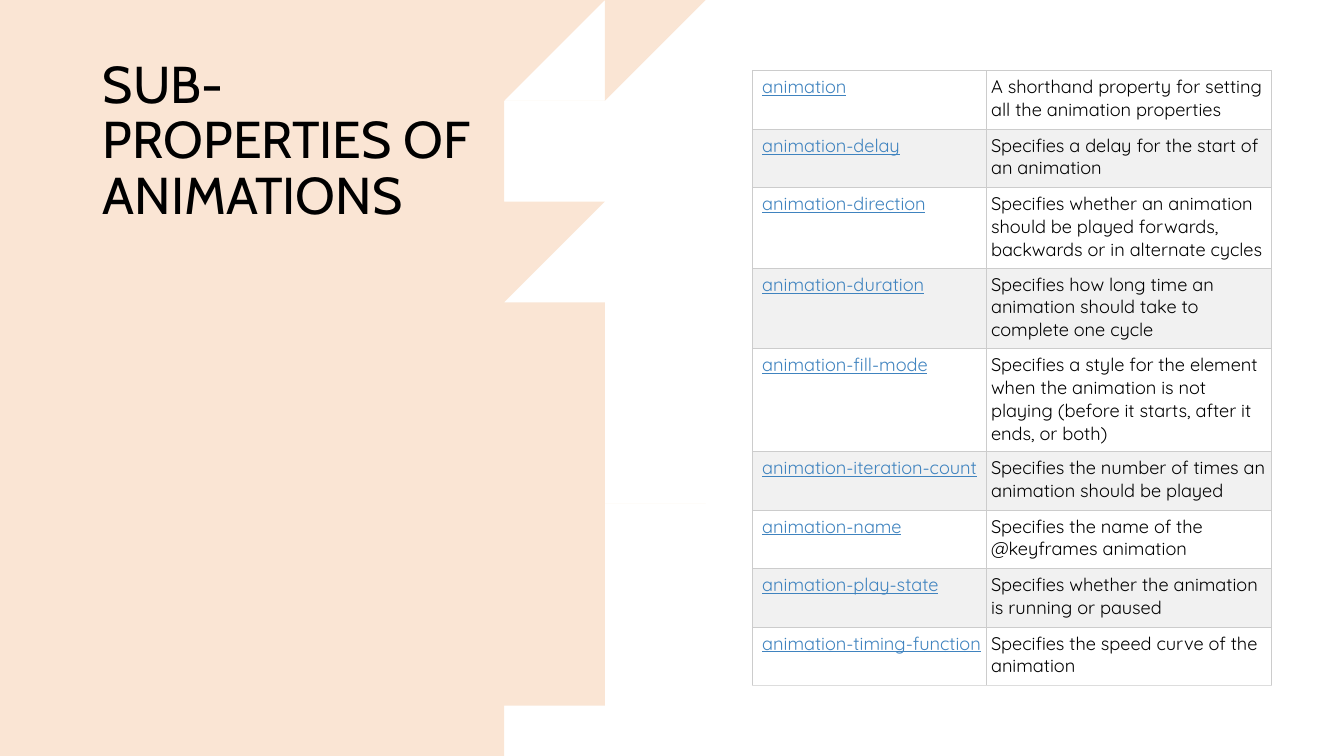
import pptx
import pptx.dml.color
import pptx.enum.text
import pptx.oxml
import pptx.oxml.ns
import pptx.util
from pptx.util import Inches


def rgb(hex_color):
    return pptx.dml.color.RGBColor.from_string(hex_color)


def write(frame, text, *, font, size, color, underline=False, spacing=1.0):
    frame.word_wrap = True
    paragraph = frame.paragraphs[0]
    paragraph.alignment = pptx.enum.text.PP_ALIGN.LEFT
    paragraph.line_spacing = spacing
    run = paragraph.add_run()
    run.text = text
    run.font.name = font
    run.font.size = pptx.util.Pt(size)
    run.font.color.rgb = rgb(color)
    run.font.underline = underline


deck = pptx.Presentation()
deck.slide_width, deck.slide_height = Inches(13.33), Inches(7.5)
slide = deck.slides.add_slide(deck.slide_layouts[5])
slide.background.fill.solid()
slide.background.fill.fore_color.rgb = rgb("FFFFFF")

brush_edge = [
    (0, 0), (0, 7.5), (4.91, 7.5), (5.29, 7.27), (5.37, 7.05), (5.82, 6.72), (5.24, 6.85),
    (5.53, 6.64), (5.8, 6.36), (5.58, 6.38), (5.8, 5.95), (6.26, 5.52), (5.87, 5.7),
    (6.27, 5.31), (6.52, 5.08), (6.17, 5.1), (6.49, 4.84), (6.2, 4.87), (6.16, 4.62),
    (5.98, 4.55), (5.95, 4.05), (6.2, 3.75), (6.15, 3.56), (5.76, 3.67), (6.07, 3.48),
    (6.34, 3.24), (5.97, 3.17), (5.83, 2.82), (5.36, 2.86), (5, 2.78), (5.08, 2.65),
    (5.38, 2.63), (5.56, 2.41), (6.06, 2.08), (5.46, 2.3), (4.85, 2.43), (5.22, 2.29),
    (4.87, 2.31), (4.87, 2.12), (5.16, 1.82), (5, 1.75), (5.42, 1.48), (5.27, 1.34),
    (5.62, 1.08), (5.53, 0.99), (5.78, 0.82), (6.51, 0.5), (6.29, 0.5), (5.95, 0.61),
    (5.43, 0.6), (5.68, 0.48), (5.65, 0.36), (5.49, 0.49), (5.42, 0.38), (5.13, 0.4),
    (5.2, 0.24), (5.48, 0.12), (5.42, 0.06), (5.09, 0.11), (5.38, 0),
]
outline = slide.shapes.build_freeform(*brush_edge[0], scale=Inches(1))
outline.add_line_segments(brush_edge[1:], close=True)
brush = outline.convert_to_shape()
brush.shadow.inherit = False
brush.fill.solid()
brush.fill.fore_color.rgb = rgb("E78129")
brush.line.fill.background()
tint = brush.element.spPr.find(".//" + pptx.oxml.ns.qn("a:srgbClr"))
tint.append(pptx.oxml.parse_xml(f'<a:alpha {pptx.oxml.ns.nsdecls("a")} val="20000"/>'))

heading = slide.shapes.title
heading.left, heading.top = Inches(0.92), Inches(0.7)
heading.width, heading.height = Inches(4.25), Inches(1.97)
heading.text_frame.auto_size = pptx.enum.text.MSO_AUTO_SIZE.NONE
heading.text_frame.vertical_anchor = pptx.enum.text.MSO_ANCHOR.MIDDLE
heading.text_frame.margin_bottom = Inches(0.6)
write(heading.text_frame, "SUB-PROPERTIES OF ANIMATIONS", font="Cabin", size=37, color="000000", spacing=0.9)
heading.element.addprevious(brush.element)

properties = [
    ("animation", "A shorthand property for setting all the animation properties", 2),
    ("animation-delay", "Specifies a delay for the start of an animation", 2),
    ("animation-direction",
     "Specifies whether an animation should be played forwards, backwards or in alternate cycles", 3),
    ("animation-duration", "Specifies how long time an animation should take to complete one cycle", 3),
    ("animation-fill-mode",
     "Specifies a style for the element when the animation is not playing "
     "(before it starts, after it ends, or both)", 4),
    ("animation-iteration-count", "Specifies the number of times an animation should be played", 2),
    ("animation-name", "Specifies the name of the @keyframes animation", 2),
    ("animation-play-state", "Specifies whether the animation is running or paused", 2),
    ("animation-timing-function", "Specifies the speed curve of the animation", 2),
]
reference = slide.shapes.add_table(len(properties), 2, Inches(7.46), Inches(0.7),
                                   Inches(5.15), Inches(6.12)).table
reference.columns[0].width, reference.columns[1].width = Inches(2.32), Inches(2.83)

for row, (keyword, description, lines) in enumerate(properties):
    reference.rows[row].height = Inches(0.14 + 0.22 * lines)
    bottom = "DDDDDD" if row == len(properties) - 1 else "CCCCCC"
    styles = [(keyword, "3F83BF", True, 0.1), (description, "000000", False, 0.05)]
    for column, (text, color, underline, left) in enumerate(styles):
        cell = reference.cell(row, column)
        write(cell.text_frame, text, font="Quicksand", size=13, color=color, underline=underline)
        cell.margin_left = Inches(left)
        cell.margin_top = cell.margin_right = cell.margin_bottom = Inches(0.05)
        borders = cell._tc.get_or_add_tcPr()
        for side, border in zip("LRTB", ("CCCCCC", "CCCCCC", "CCCCCC", bottom)):
            borders.append(pptx.oxml.parse_xml(
                f'<a:ln{side} {pptx.oxml.ns.nsdecls("a")} w="7620"><a:solidFill>'
                f'<a:srgbClr val="{border}"/></a:solidFill></a:ln{side}>'))
        cell.fill.solid()
        cell.fill.fore_color.rgb = rgb("F1F1F1" if row % 2 else "FFFFFF")

deck.save("out.pptx")
